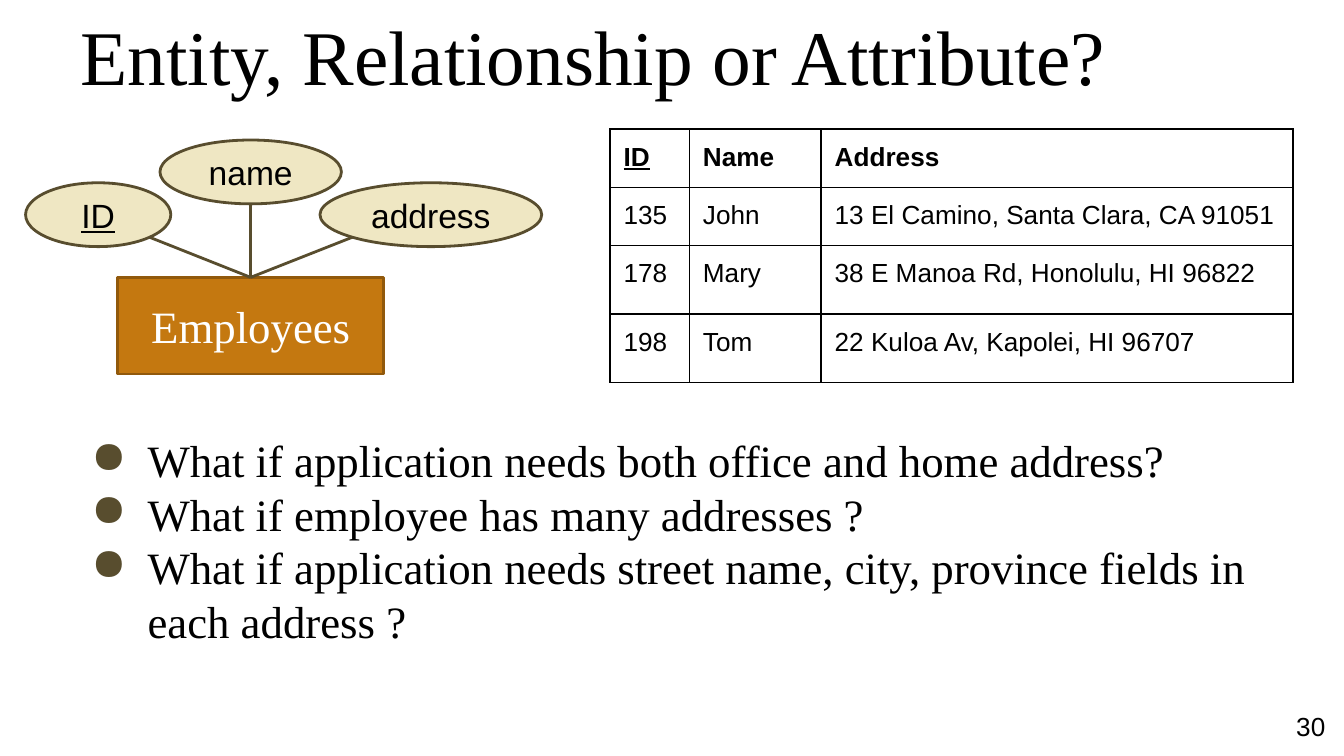
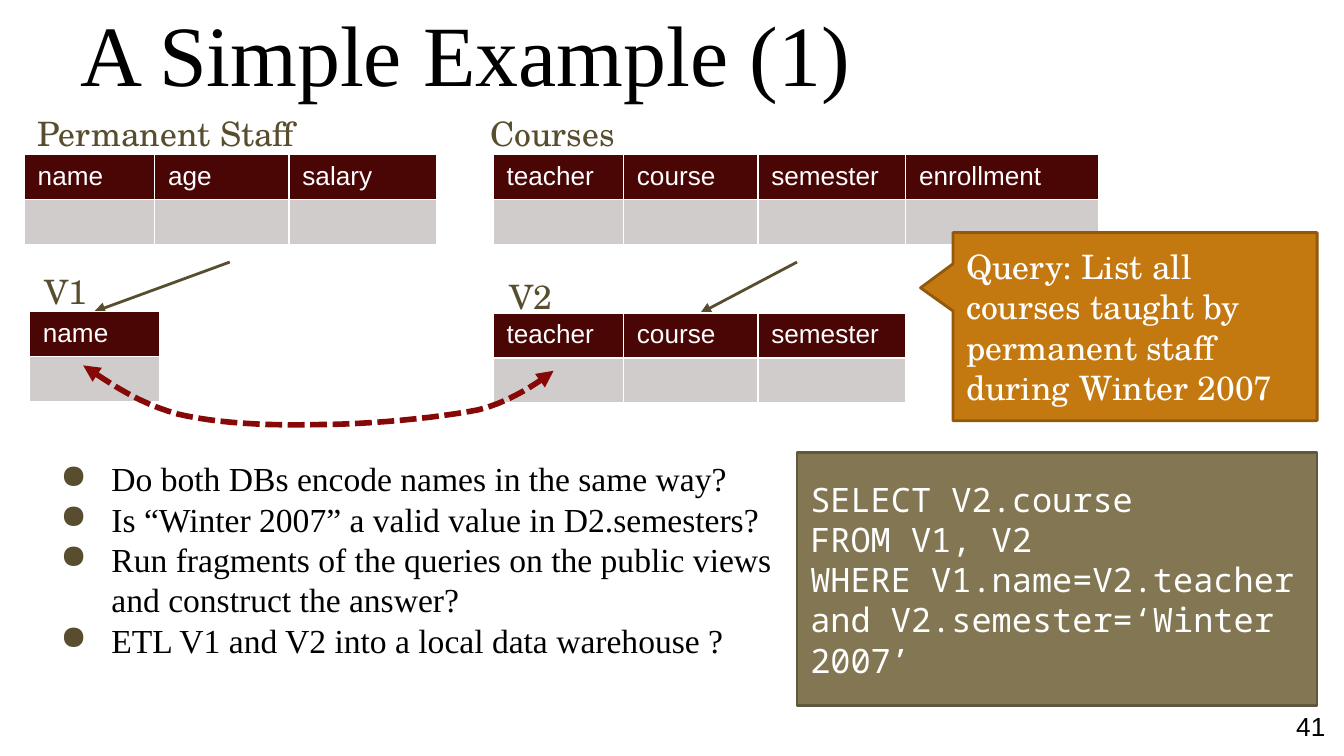
"""Build two database slides on entity modelling and data integration."""
import math

import lxml.etree as etree
import pptx
import pptx.dml.color
import pptx.enum.dml
import pptx.enum.shapes
import pptx.enum.text
import pptx.oxml.ns
import pptx.util

Pt = pptx.util.Pt
RGB = pptx.dml.color.RGBColor
qn = pptx.oxml.ns.qn
Align = pptx.enum.text.PP_ALIGN
Anchor = pptx.enum.text.MSO_ANCHOR
Kind = pptx.enum.shapes.MSO_SHAPE

BLACK = RGB(0x00, 0x00, 0x00)
WHITE = RGB(0xFF, 0xFF, 0xFF)
BROWN = RGB(0x58, 0x4D, 0x2E)
CREAM = RGB(0xEF, 0xE7, 0xC3)
ORANGE = RGB(0xC4, 0x78, 0x10)
RUST = RGB(0x91, 0x59, 0x0C)
OLIVE = RGB(0x82, 0x77, 0x52)
MOSS = RGB(0x60, 0x58, 0x3D)
MAROON = RGB(0x4A, 0x05, 0x05)
GREY = RGB(0xD0, 0xCC, 0xCC)
RED = RGB(0x86, 0x09, 0x08)

SERIF = "Times New Roman"
SANS = "Arial"
MONO = "Noto Sans Mono"
SCHOOL = "TeX Gyre Schola"
INSET = 7.2
LEAD = 1.2
COLS = (69.8, 72, 79.2, 103.7)


def style(para, font, size, color, bold=False, under=False):
    """Format every run of a paragraph."""
    for run in para.runs:
        face = run.font
        face.name, face.size, face.bold = font, Pt(size), bold
        face.underline = under
        face.color.rgb = color


def write(frame, lines, font, size, color, align=Align.LEFT,
          anchor=Anchor.TOP, lead=False, under=False):
    """Fill a text frame with evenly styled paragraphs."""
    frame.word_wrap = True
    frame.vertical_anchor = anchor
    frame.margin_left = frame.margin_right = Pt(INSET)
    frame.margin_top = frame.margin_bottom = Pt(INSET)
    frame.text = "\n".join(lines)
    for para in frame.paragraphs:
        para.alignment = align
        if lead:
            para.line_spacing = Pt(size * LEAD)
        style(para, font, size, color, under=under)


def add_text(slide, box, lines, font, size, color, **opts):
    """Add a text box."""
    shape = slide.shapes.add_textbox(*map(Pt, box))
    write(shape.text_frame, lines, font, size, color, **opts)
    return shape


def add_list(slide, box, lines, size, hang):
    """Add a list with round brown bullets."""
    shape = add_text(slide, box, lines, SERIF, size, BLACK, lead=True)
    for para in shape.text_frame.paragraphs:
        props = para._p.get_or_add_pPr()
        props.set("marL", str(Pt(36)))
        props.set("indent", str(-Pt(hang)))
        tint = etree.SubElement(props, qn("a:buClr"))
        etree.SubElement(tint, qn("a:srgbClr"), val=str(BROWN))
        etree.SubElement(props, qn("a:buChar"), char="●")


def add_block(slide, kind, box, fill, edge, lines, font, size, color, **opts):
    """Add a filled, outlined shape with centred-height text."""
    shape = slide.shapes.add_shape(kind, *map(Pt, box))
    shape.shadow.inherit = False
    shape.fill.solid()
    shape.fill.fore_color.rgb = fill
    shape.line.color.rgb = edge
    shape.line.width = Pt(1.5)
    write(shape.text_frame, lines, font, size, color,
          anchor=Anchor.MIDDLE, **opts)
    return shape


def add_tips(shape, *ends):
    """Put triangle arrowheads on the named line ends."""
    line = shape.line._get_or_add_ln()
    for end in ends:
        etree.SubElement(line, qn("a:" + end), type="triangle")


def add_line(slide, start, end):
    """Add a straight brown line without shadow."""
    line = slide.shapes.add_connector(
        pptx.enum.shapes.MSO_CONNECTOR.STRAIGHT, *map(Pt, start + end))
    line.line.color.rgb = BROWN
    line.line.width = Pt(1.5)
    etree.SubElement(line._element.spPr, qn("a:effectLst"))
    return line


def add_curve(slide, start, arcs):
    """Add a dashed two-headed path through cubic arcs."""
    dots = []
    head = start
    for arc in arcs:
        ctrl = (head,) + arc
        for step in range(1, 13):
            t = step / 12
            parts = ((1 - t) ** 3, 3 * t * (1 - t) ** 2,
                     3 * t * t * (1 - t), t ** 3)
            dots.append(tuple(Pt(sum(w * p[axis] for w, p in zip(parts, ctrl)))
                              for axis in (0, 1)))
        head = arc[-1]
    path = slide.shapes.build_freeform(*map(Pt, start))
    path.add_line_segments(dots, close=False)
    shape = path.convert_to_shape()
    shape.shadow.inherit = False
    shape.fill.background()
    shape.line.color.rgb = RED
    shape.line.width = Pt(3)
    shape.line.dash_style = pptx.enum.dml.MSO_LINE.SQUARE_DOT
    add_tips(shape, "headEnd", "tailEnd")


def add_edges(cell, color):
    """Draw one-point borders round a cell."""
    props = cell._tc.get_or_add_tcPr()
    for spot, side in enumerate("LRTB"):
        line = etree.Element(qn("a:ln" + side), w=str(Pt(1)))
        fill = etree.SubElement(line, qn("a:solidFill"))
        etree.SubElement(fill, qn("a:srgbClr"), val=str(color))
        props.insert(spot, line)


def add_grid(slide, spot, cols, highs, rows):
    """Add a table without banding and return it."""
    size = (sum(cols), sum(highs))
    grid = slide.shapes.add_table(
        len(rows), len(cols), *map(Pt, spot + size)).table
    grid.first_row = grid.horz_banding = False
    for col, width in zip(grid.columns, cols):
        col.width = Pt(width)
    for row, high, words in zip(grid.rows, highs, rows):
        row.height = Pt(high)
        for cell, word in zip(row.cells, words):
            cell.text = word
    return grid


def add_staff(slide):
    """Add the table of employees."""
    rows = (("ID", "Name", "Address"),
            ("135", "John", "13 El Camino, Santa Clara, CA 91051"),
            ("178", "Mary", "38 E Manoa Rd, Honolulu, HI 96822"),
            ("198", "Tom", "22 Kuloa Av, Kapolei, HI 96707"))
    grid = add_grid(slide, (326.9, 69.1), (42.5, 70.6, 252.7),
                    (24.5, 24.5, 36.7, 36.7), rows)
    for index, row in enumerate(grid.rows):
        for cell in row.cells:
            cell.margin_top = cell.margin_bottom = Pt(INSET)
            cell.fill.background()
            add_edges(cell, BLACK)
            style(cell.text_frame.paragraphs[0], SANS, 14, BLACK,
                  bold=index == 0, under=cell.text == "ID")


def add_schema(slide, spot, names):
    """Add a table of column names above an empty row."""
    grid = add_grid(slide, spot, COLS[:len(names)], (23, 23),
                    (names, [""] * len(names)))
    for row, color in zip(grid.rows, (MAROON, GREY)):
        for cell in row.cells:
            cell.fill.solid()
            cell.fill.fore_color.rgb = color
            add_edges(cell, WHITE)
            para = cell.text_frame.paragraphs[0]
            style(para, SANS, 14, WHITE)
            if not cell.text:
                etree.SubElement(para._p, qn("a:endParaRPr"), sz="1400")


def add_base(deck, title, size, top, number):
    """Start a slide with its title and page number."""
    slide = deck.slides.add_slide(deck.slide_layouts[6])
    add_text(slide, (36, top, 648, 50.4), [title], SERIF, size, BLACK,
             anchor=Anchor.BOTTOM)
    add_text(slide, (673.9, 373.7, 43.2, 31), [number], SANS, 14, BLACK,
             align=Align.RIGHT, anchor=Anchor.MIDDLE)
    return slide


def draw_entity(deck):
    """Draw the slide on entities and attributes."""
    slide = add_base(deck, "Entity, Relationship or Attribute?",
                     41.4, 10.8, "30")
    add_list(slide, (36, 224.6, 648, 163.4),
             ("What if application needs both office and home address?",
              "What if employee has many addresses ?",
              "What if application needs street name, city, province fields"
              " in each address ?"), 24, 30.2)
    staff = add_block(slide, Kind.RECTANGLE, (63, 148.6, 142.6, 51.8), ORANGE,
                      RUST, ["Employees"], SERIF, 24, WHITE,
                      align=Align.CENTER)
    ovals = (("ID", 13.7, 97.9, 77.8, 45), ("name", 85.7, 75, 97.2, 90),
             ("address", 171.4, 97.9, 118.8, 135))
    high = 34.2
    for name, left, top, width, angle in ovals:
        add_block(slide, Kind.OVAL, (left, top, width, high), CREAM, BROWN,
                  [name], SANS, 18, BLACK, align=Align.CENTER,
                  under=name == "ID")
        turn = math.radians(angle)
        end = (left + width / 2 * (1 + math.cos(turn)),
               top + high / 2 * (1 + math.sin(turn)))
        line = add_line(slide, (134.3, 148.6), end)
        line.begin_connect(staff, 0)
    add_staff(slide)


def draw_query(deck):
    """Draw the slide on querying two views."""
    slide = add_base(deck, "A Simple Example (1)", 46, 12.2, "41")
    add_list(slide, (16.6, 238.3, 424.1, 149),
             ("Do both DBs encode names in the same way?",
              "Is “Winter 2007” a valid value in D2.semesters?",
              "Run fragments of the queries on the public views and"
              " construct the answer?",
              "ETL V1 and V2 into a local data warehouse ?"), 18, 27.4)
    for label, left, top, width in (("V1", 16.6, 138.2, 42.5),
                                    ("V2", 265.7, 140.4, 55.4),
                                    ("Permanent Staff", 13, 53.3, 155.5),
                                    ("Courses", 255.6, 53.3, 109.4)):
        add_text(slide, (left, top, width, 30), [label], SCHOOL, 18, BROWN)
    for start, end in (((123.1, 140.4), (50.4, 167)),
                       ((427, 140.4), (375.1, 167.8))):
        add_tips(add_line(slide, start, end), "tailEnd")
    add_block(slide, Kind.RECTANGLE, (427, 242.6, 278.6, 135.4), OLIVE, MOSS,
              ("SELECT V2.course", "FROM V1, V2", "WHERE V1.name=V2.teacher",
               "and V2.semester=‘Winter 2007’"), MONO, 18, WHITE, lead=True)
    course = ("teacher", "course", "semester", "enrollment")
    add_schema(slide, (264.2, 82.8), course)
    add_schema(slide, (13, 82.8), ("name", "age", "salary"))
    add_schema(slide, (264.2, 167.8), course[:3])
    add_schema(slide, (15.8, 167), ("name",))
    call = add_block(slide, Kind.ROUNDED_RECTANGULAR_CALLOUT,
                     (510.5, 124.6, 195.1, 100.8), ORANGE, RUST,
                     ["Query: List all courses taught by permanent staff"
                      " during Winter 2007"], SCHOOL, 18, WHITE, lead=True)
    for index, value in enumerate((-0.589, -0.206, 0)):
        call.adjustments[index] = value
    add_curve(slide, (44.6, 195.8),
              (((59.8, 205.9), (74.2, 216), (95, 221.8)),
               ((115.9, 226.8), (143.3, 228.2), (170.6, 227.5)),
               ((197.3, 227.5), (234.7, 223.9), (256.3, 219.6)),
               ((277.2, 214.6), (296.6, 198.7), (296.6, 198.7))))


def main():
    """Build and save the deck."""
    deck = pptx.Presentation()
    deck.slide_width, deck.slide_height = Pt(720), Pt(405)
    draw_entity(deck)
    draw_query(deck)
    deck.save("out.pptx")


if __name__ == "__main__":
    main()
